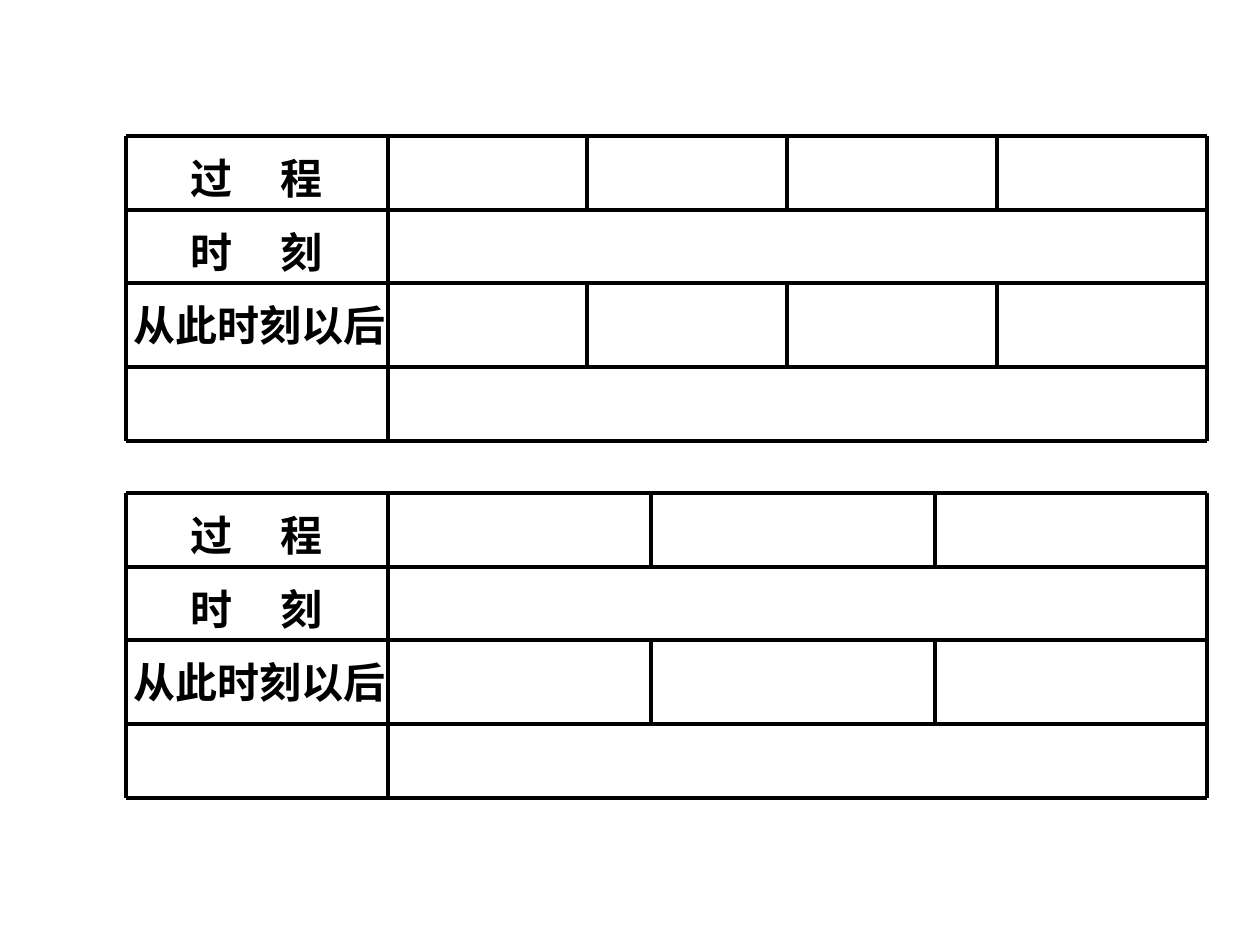
import dataclasses
import itertools

import lxml.etree
import pptx
import pptx.dml.color
import pptx.enum.shapes
import pptx.enum.text
import pptx.oxml.ns
import pptx.util

PX = 914400 // 126


@dataclasses.dataclass(frozen=True)
class Theme:
    """Colours, type and line weights of the slide."""
    ink: str = "000000"
    font: str = "Times New Roman"
    label_size: int = 24
    frame_weight: float = 2.5
    rule_weight: float = 2


THEME = Theme()
ROW_HEIGHTS = (74, 73, 84, 74)
LABEL_WIDTH = 262
LABEL_TAB = 90
LABELS = (("过\t程", 52, 168), ("时\t刻", 52, 168), ("从此时刻以后", -5, 325))
SPLIT_ROWS = (0, 2)


def add_rule(shapes, start, end, weight=THEME.rule_weight):
    """Draw a straight rule between two points."""
    points = [value * PX for value in (*start, *end)]
    rule = shapes.add_connector(pptx.enum.shapes.MSO_CONNECTOR.STRAIGHT, *points)
    rule.line.color.rgb = pptx.dml.color.RGBColor.from_string(THEME.ink)
    rule.line.width = pptx.util.Pt(weight)
    lxml.etree.SubElement(rule._element.spPr, pptx.oxml.ns.qn("a:effectLst"))


def add_text(shapes, text, box, size=THEME.label_size, bold=True, tab=LABEL_TAB):
    """Place one line of text, with a tab stop for spread characters."""
    label = shapes.add_textbox(*(value * PX for value in box))
    frame = label.text_frame
    frame.word_wrap = True
    frame.auto_size = pptx.enum.text.MSO_AUTO_SIZE.SHAPE_TO_FIT_TEXT
    paragraph = frame.paragraphs[0]
    if "\t" in text:
        properties = paragraph._p.get_or_add_pPr()
        stops = lxml.etree.SubElement(properties, pptx.oxml.ns.qn("a:tabLst"))
        lxml.etree.SubElement(stops, pptx.oxml.ns.qn("a:tab"), pos=str(tab * PX), algn="l")
    run = paragraph.add_run()
    run.text = text
    run.font.name = THEME.font
    run.font.size = pptx.util.Pt(size)
    run.font.bold = bold
    run.font.color.rgb = pptx.dml.color.RGBColor.from_string(THEME.ink)


def add_process_grid(slide, left, top, width, dividers):
    """Draw one process grid whose split rows have the given dividers."""
    shapes = slide.shapes.add_group_shape().shapes
    row_tops = [top + offset for offset in itertools.accumulate(ROW_HEIGHTS, initial=0)]
    right, bottom = left + width, row_tops[-1]
    for y in row_tops:
        weight = THEME.frame_weight if y in (top, bottom) else THEME.rule_weight
        add_rule(shapes, (left, y), (right, y), weight)
    for x in (left, right):
        add_rule(shapes, (x, top), (x, bottom), THEME.frame_weight)
    add_rule(shapes, (left + LABEL_WIDTH, top), (left + LABEL_WIDTH, bottom))
    for row, offset in itertools.product(SPLIT_ROWS, dividers):
        x = left + offset
        add_rule(shapes, (x, row_tops[row]), (x, row_tops[row + 1]))
    for (text, indent, label_width), y in zip(LABELS, row_tops):
        add_text(shapes, text, (left + indent, y + 10, label_width, 63))


def main():
    """Build the slide with its two process grids."""
    presentation = pptx.Presentation()
    presentation.slide_width = 1260 * PX
    presentation.slide_height = 945 * PX
    slide = presentation.slides.add_slide(presentation.slide_layouts[6])
    add_process_grid(slide, 126, 136, 1081, (461, 661, 871))
    add_process_grid(slide, 126, 493, 1081, (525, 809))
    presentation.save("out.pptx")


if __name__ == "__main__":
    main()
